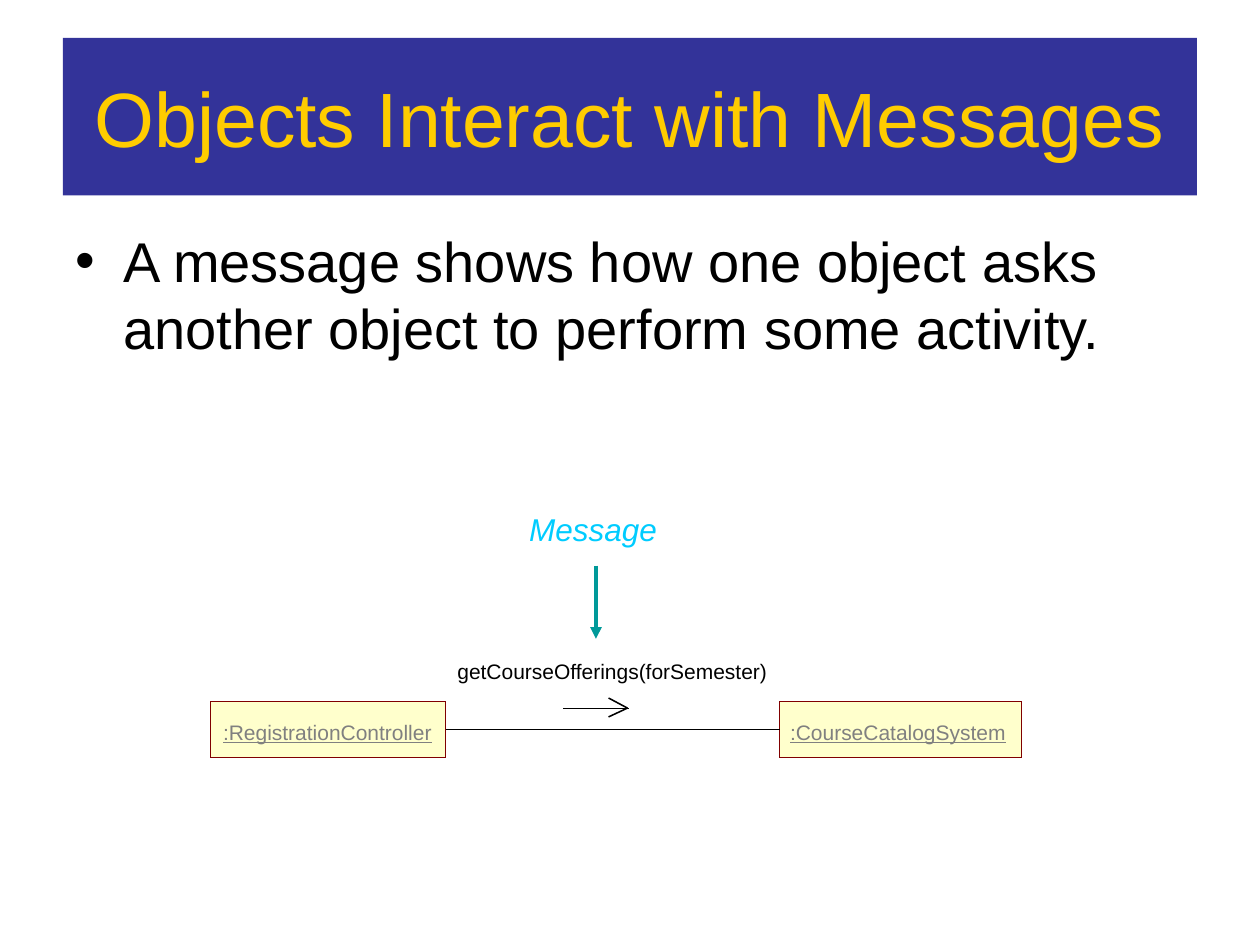
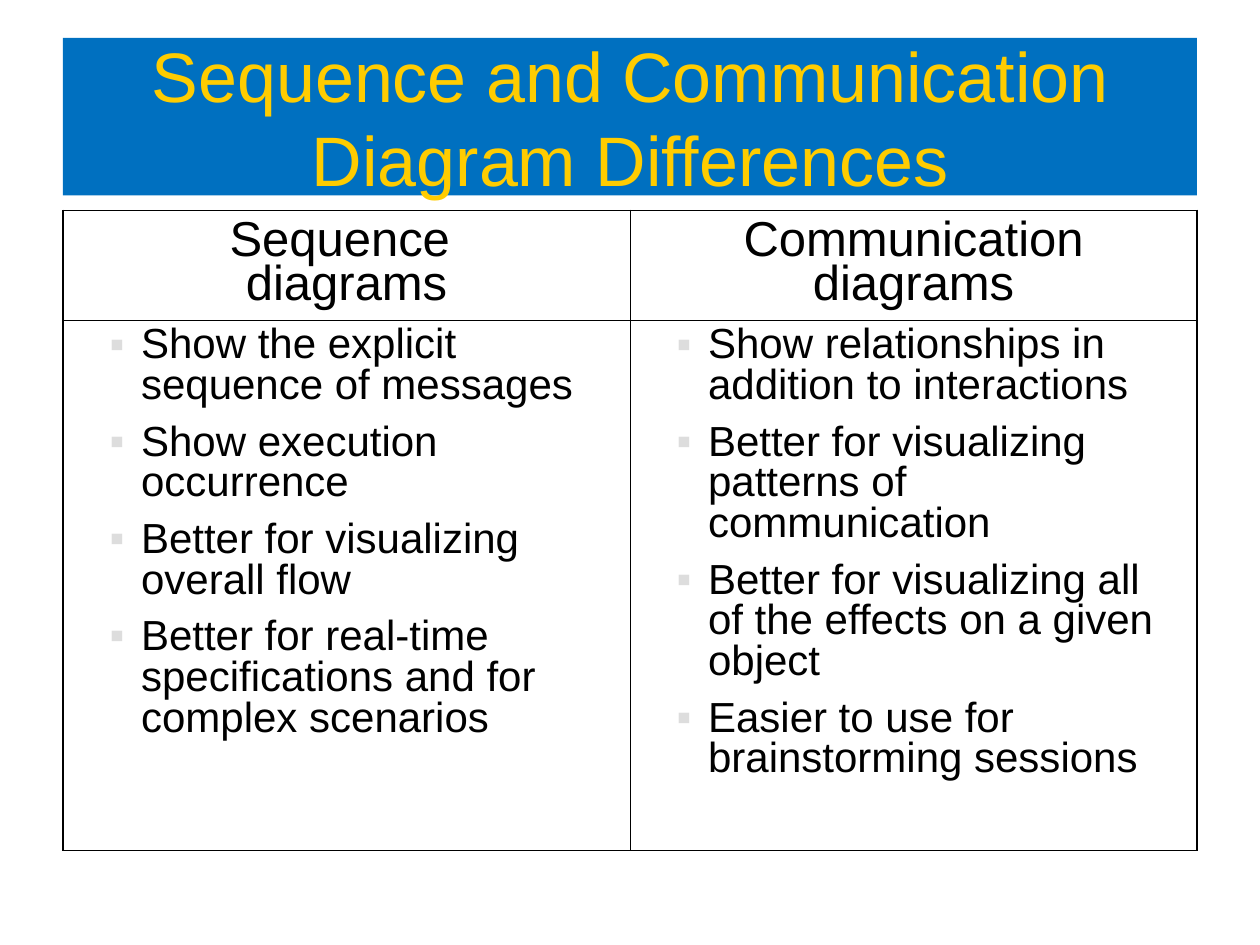
from dataclasses import dataclass
from typing import Any, NamedTuple

from lxml import etree
from pptx import Presentation
from pptx.dml.color import RGBColor
from pptx.enum import shapes, text
from pptx.oxml.ns import qn
from pptx import util as u

EMU_PER_PX = 9144


@dataclass(frozen=True)
class Theme:
    font: str = "Arial"
    title_ink: str = "FFCC00"
    title_band: str = "333399"
    contrast_band: str = "0070C0"
    ink: str = "000000"
    class_ink: str = "808080"
    class_fill: str = "FFFFCC"
    class_edge: str = "800000"
    callout_ink: str = "00CCFF"
    callout_arrow: str = "009999"
    pale_bullet: str = "DDDDDD"
    title_size: int = 44
    long_title_size: int = 40
    body_size: int = 32
    heading_size: int = 28
    point_size: int = 24
    callout_size: int = 18
    label_size: int = 12
    hairline: float = 0.01
    arrowhead_line: float = 0.88
    callout_line: float = 2.25
    outer_border: float = 1.08
    inner_border: float = 0.45


THEME = Theme()


class Box(NamedTuple):
    left: int
    top: int
    width: int
    height: int


class Stroke(NamedTuple):
    x1: int
    y1: int
    x2: int
    y2: int
    weight: float = THEME.hairline
    color: str = THEME.ink


class Bullet(NamedTuple):
    mark: str
    color: str
    margin: int
    hang: int


class Style(NamedTuple):
    size: int
    color: str = THEME.ink
    font: dict[str, Any] = {}
    paragraph: dict[str, Any] = {}
    bullet: Bullet | None = None


class Label(NamedTuple):
    box: Box
    words: str
    style: Style
    frame: dict[str, Any]


class ClassBox(NamedTuple):
    box: Box
    label: Label


class Column(NamedTuple):
    heading: str
    points: list[str]


def px(length: int) -> u.Emu:
    return u.Emu(length * EMU_PER_PX)


def place(box: Box) -> list[u.Emu]:
    return [px(length) for length in box]


def rgb(color: str) -> RGBColor:
    return RGBColor.from_string(color)


def apply(target: Any, values: dict[str, Any]) -> None:
    for name, value in values.items():
        setattr(target, name, value)


def margins(side: int, end: int) -> dict[str, Any]:
    return {"margin_left": px(side), "margin_right": px(side),
            "margin_top": px(end), "margin_bottom": px(end)}


FITTED = {"auto_size": text.MSO_AUTO_SIZE.SHAPE_TO_FIT_TEXT}
TIGHT = {**FITTED, **margins(0, 0), "word_wrap": False}
PADDED = {**FITTED, **margins(12, 6)}
CELL = margins(12, 5)

CENTERED = {"alignment": text.PP_ALIGN.CENTER}
BODY = Style(THEME.body_size, paragraph={"space_before": u.Pt(8)},
             bullet=Bullet("•", THEME.ink, 38, 38))
HEADING = Style(THEME.heading_size,
                paragraph={**CENTERED, "line_spacing": 0.8, "space_before": u.Pt(10.5)})
POINT = Style(THEME.point_size, paragraph={"level": 1, "line_spacing": 0.87, "space_before": u.Pt(9)},
              bullet=Bullet("▪", THEME.pale_bullet, 50, 25))
CLASS_NAME = Style(THEME.label_size, THEME.class_ink, {"underline": True})
OPERATION = Style(THEME.label_size, paragraph={"space_before": u.Pt(7.5)})
CALLOUT = Style(THEME.callout_size, THEME.callout_ink, {"italic": True})

TITLE_BOX = Box(50, 30, 900, 125)
BODY_BOX = Box(50, 175, 900, 239)
TABLE_BOX = Box(50, 167, 900, 508)
ROW_HEIGHTS = [87, 421]

CLASSES = [
    ClassBox(Box(167, 557, 187, 44),
             Label(Box(177, 571, 169, 20), ":RegistrationController", CLASS_NAME, TIGHT)),
    ClassBox(Box(619, 557, 192, 44),
             Label(Box(627, 571, 175, 20), ":CourseCatalogSystem", CLASS_NAME, TIGHT)),
]
MESSAGE_LABELS = [
    Label(Box(351, 517, 315, 32), "getCourseOfferings(forSemester)", OPERATION,
          {**PADDED, "word_wrap": True}),
    Label(Box(408, 399, 129, 42), "Message", CALLOUT, {**PADDED, "word_wrap": False}),
]
MESSAGE_ARROW = [
    Stroke(447, 562, 499, 562),
    Stroke(498, 562, 483, 569, THEME.arrowhead_line),
    Stroke(498, 562, 483, 554, THEME.arrowhead_line),
]
CALLOUT_ARROW = Stroke(473, 449, 473, 507, THEME.callout_line, THEME.callout_arrow)

COLUMNS = [
    Column("Sequence \vdiagrams", [
        "Show the explicit sequence of messages",
        "Show execution occurrence",
        "Better for visualizing overall flow",
        "Better for real-time specifications and for complex scenarios",
    ]),
    Column("Communication diagrams", [
        "Show relationships in addition to interactions",
        "Better for visualizing patterns of communication",
        "Better for visualizing all of the effects on a given object",
        "Easier to use for brainstorming sessions",
    ]),
]


def add_bullet(paragraph: Any, bullet: Bullet) -> None:
    props = paragraph._p.get_or_add_pPr()
    props.set("marL", str(px(bullet.margin)))
    props.set("indent", str(px(-bullet.hang)))
    tint = etree.SubElement(props, qn("a:buClr"))
    etree.SubElement(tint, qn("a:srgbClr"), val=bullet.color)
    etree.SubElement(props, qn("a:buFont"), typeface=THEME.font)
    etree.SubElement(props, qn("a:buChar"), char=bullet.mark)


def write(frame: Any, lines: list[str], style: Style) -> None:
    for index, words in enumerate(lines):
        paragraph = frame.add_paragraph() if index else frame.paragraphs[0]
        paragraph.text = words
        apply(paragraph, style.paragraph)
        for run in paragraph.runs:
            apply(run.font, {"name": THEME.font, "size": u.Pt(style.size), **style.font})
            run.font.color.rgb = rgb(style.color)
        if style.bullet:
            add_bullet(paragraph, style.bullet)


def add_label(slide: Any, label: Label) -> None:
    frame = slide.shapes.add_textbox(*place(label.box)).text_frame
    apply(frame, label.frame)
    write(frame, [label.words], label.style)


def add_panel(slide: Any, box: Box, fill: str, edge: str | None = None) -> Any:
    panel = slide.shapes.add_shape(shapes.MSO_SHAPE.RECTANGLE, *place(box))
    panel.shadow.inherit = False
    panel.fill.solid()
    panel.fill.fore_color.rgb = rgb(fill)
    if edge:
        panel.line.color.rgb = rgb(edge)
        panel.line.width = u.Pt(THEME.hairline)
    else:
        panel.line.fill.background()
    return panel


def add_title(slide: Any, words: str, band: str, size: int) -> None:
    frame = add_panel(slide, TITLE_BOX, band).text_frame
    apply(frame, {"word_wrap": True, "vertical_anchor": text.MSO_ANCHOR.MIDDLE})
    write(frame, [words], Style(size, THEME.title_ink, paragraph=CENTERED))


def add_stroke(parent: Any, stroke: Stroke) -> Any:
    ends = [px(length) for length in stroke[:4]]
    line = parent.shapes.add_connector(shapes.MSO_CONNECTOR.STRAIGHT, *ends)
    line.line.color.rgb = rgb(stroke.color)
    line.line.width = u.Pt(stroke.weight)
    etree.SubElement(line._element.spPr, qn("a:effectLst"))
    return line


def set_borders(cell: Any, weights: dict[str, float]) -> None:
    props = cell._tc.get_or_add_tcPr()
    for index, (side, weight) in enumerate(weights.items()):
        border = etree.Element(qn(f"a:ln{side}"), w=str(u.Pt(weight)))
        fill = etree.SubElement(border, qn("a:solidFill"))
        etree.SubElement(fill, qn("a:srgbClr"), val=THEME.ink)
        props.insert(index, border)


def fill_cell(cell: Any, lines: list[str], style: Style, anchor: Any,
              outer_sides: str) -> None:
    apply(cell, {**CELL, "vertical_anchor": anchor})
    cell.fill.background()
    write(cell.text_frame, lines, style)
    set_borders(cell, {side: THEME.outer_border if side in outer_sides else THEME.inner_border
                       for side in "LRTB"})


def add_comparison(slide: Any) -> None:
    table = slide.shapes.add_table(len(ROW_HEIGHTS), len(COLUMNS), *place(TABLE_BOX)).table
    apply(table, {"first_row": False, "horz_banding": False})
    for row, height in zip(table.rows, ROW_HEIGHTS):
        row.height = px(height)
    for index, column in enumerate(COLUMNS):
        table.columns[index].width = px(TABLE_BOX.width // len(COLUMNS))
        side = "LR"[index]
        fill_cell(table.cell(0, index), [column.heading], HEADING,
                  text.MSO_ANCHOR.MIDDLE, side + "T")
        fill_cell(table.cell(1, index), column.points, POINT,
                  text.MSO_ANCHOR.TOP, side + "B")


def add_interaction(slide: Any) -> None:
    controller, catalog = [add_panel(slide, item.box, THEME.class_fill, THEME.class_edge)
                           for item in CLASSES]
    link = add_stroke(slide, Stroke(354, 579, 619, 579))
    link.begin_connect(controller, 3)
    link.end_connect(catalog, 1)
    message = slide.shapes.add_group_shape()
    for stroke in MESSAGE_ARROW:
        add_stroke(message, stroke)
    pointer = add_stroke(slide, CALLOUT_ARROW)
    etree.SubElement(pointer.line._get_or_add_ln(), qn("a:tailEnd"), type="triangle")
    for label in [item.label for item in CLASSES] + MESSAGE_LABELS:
        add_label(slide, label)


def main() -> None:
    deck = Presentation()
    apply(deck, {"slide_width": px(1000), "slide_height": px(750)})
    messages, differences = [deck.slides.add_slide(deck.slide_layouts[6]) for _ in range(2)]

    add_title(messages, "Objects Interact with Messages", THEME.title_band, THEME.title_size)
    add_label(messages, Label(
        BODY_BOX, "A message shows how one object asks another object to perform some activity.",
        BODY, {"word_wrap": True}))
    add_interaction(messages)

    add_title(differences, "Sequence and Communication Diagram Differences",
              THEME.contrast_band, THEME.long_title_size)
    add_comparison(differences)
    deck.save("out.pptx")


if __name__ == "__main__":
    main()
